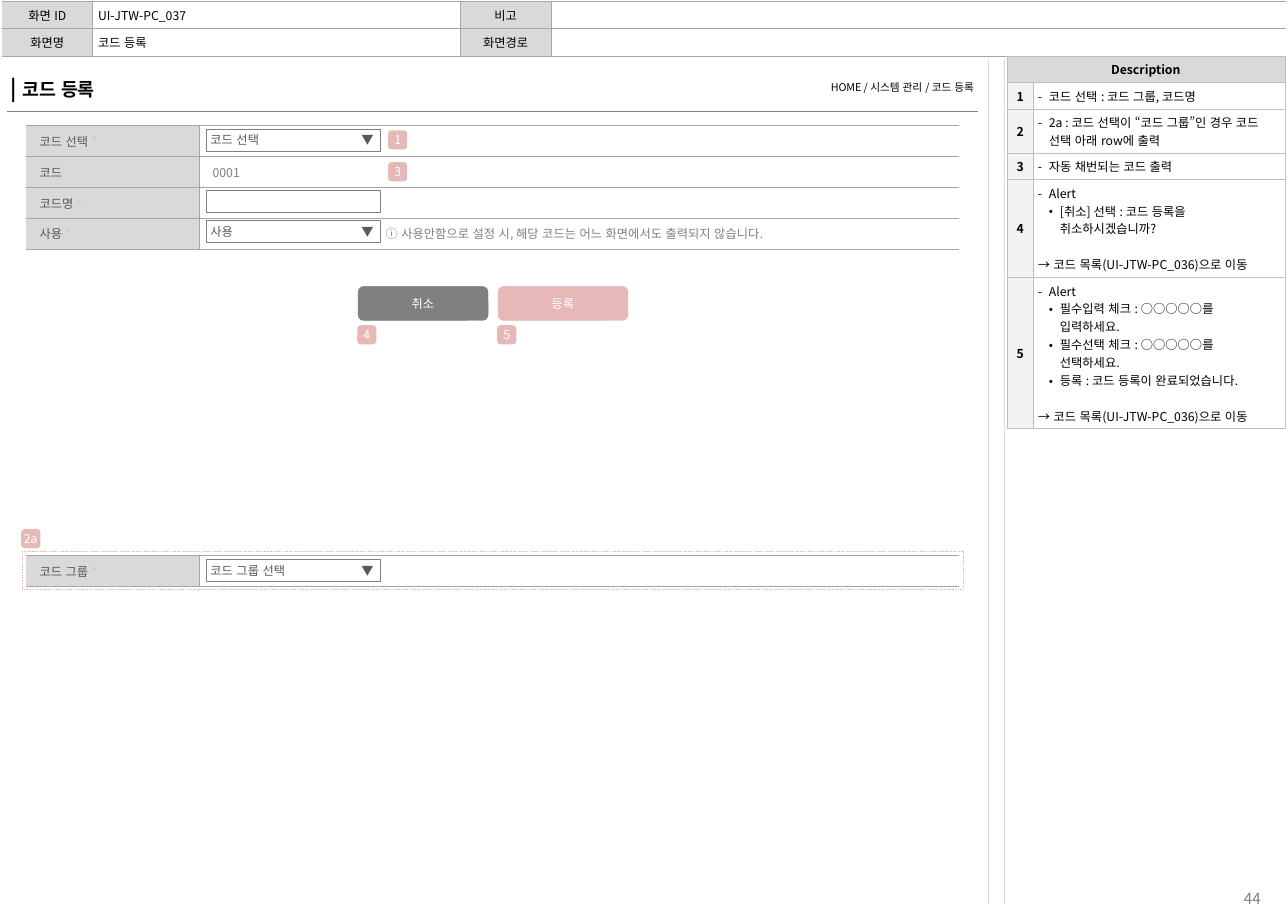
from lxml.etree import SubElement
from pptx import Presentation
from pptx.dml.color import RGBColor
from pptx.enum.dml import MSO_LINE
from pptx.enum.lang import MSO_LANGUAGE_ID
from pptx.enum.shapes import MSO_CONNECTOR, MSO_SHAPE
from pptx.enum.text import MSO_ANCHOR, PP_ALIGN
from pptx.oxml.ns import qn
from pptx.util import Inches, Pt

FONT = "Noto Sans CJK KR"
BLACK = RGBColor(0, 0, 0)
WHITE = RGBColor(0xFF, 0xFF, 0xFF)
TEXT = RGBColor(0x59, 0x59, 0x59)
DARK = RGBColor(0x80, 0x80, 0x80)
RULE = RGBColor(0xA6, 0xA6, 0xA6)
BOX = RGBColor(0xBF, 0xBF, 0xBF)
LABEL = RGBColor(0xD9, 0xD9, 0xD9)
PALE = RGBColor(0xF2, 0xF2, 0xF2)
PINK = RGBColor(0xE6, 0xB9, 0xB8)
LEFT, CENTER, RIGHT = PP_ALIGN.LEFT, PP_ALIGN.CENTER, PP_ALIGN.RIGHT

prs = Presentation()
prs.slide_width, prs.slide_height = Inches(11.69), Inches(8.27)
s = prs.slides.add_slide(prs.slide_layouts[6])


def write(tf, paragraphs, align=LEFT, color=BLACK, size=8, bold=False):
    """Each paragraph is a string or (marker, runs); a run is text or (text, format)."""
    for i, item in enumerate(paragraphs):
        marker, runs = ("", [item]) if isinstance(item, str) else item
        p = tf.paragraphs[0] if i == 0 else tf.add_paragraph()
        p.alignment = align
        pPr = p._p.get_or_add_pPr()
        if marker == "gap":
            p.space_before = Pt(11.7)
        elif marker:
            level = {"-": 1, "•": 2}[marker]
            pPr.set("marL", str(Inches(0.1 * level)))
            pPr.set("indent", str(Inches(-0.1)))
            SubElement(pPr, qn("a:buFont"), typeface=FONT)
            SubElement(pPr, qn("a:buChar"), char=marker)
        for run in runs:
            text, own = (run, {}) if isinstance(run, str) else run
            fmt = {"color": color, "size": size, "bold": bold, **own}
            r = p.add_run()
            r.text = text
            r.font.color.rgb = fmt.pop("color")
            fmt["size"] = Pt(fmt["size"])
            fmt.update(name=FONT, language_id=MSO_LANGUAGE_ID.KOREAN)
            for name, value in fmt.items():
                setattr(r.font, name, value)
            SubElement(r._r.get_or_add_rPr(), qn("a:ea"), typeface=FONT)


def table(left, top, widths, heights, rows, lines):
    """Each cell is (paragraphs, fill, insets, text format); lines maps T, B, V, edge to colours."""
    tbl = s.shapes.add_table(len(heights), len(widths), Inches(left), Inches(top),
                             Inches(sum(widths)), Inches(sum(heights))).table
    for col, width in zip(tbl.columns, widths):
        col.width = Inches(width)
    for y, (row, height) in enumerate(zip(rows, heights)):
        tbl.rows[y].height = Inches(height)
        for x, (paragraphs, fill, insets, fmt) in enumerate(row):
            cell = tbl.cell(y, x)
            cell.fill.solid()
            cell.fill.fore_color.rgb = fill
            cell.vertical_anchor = MSO_ANCHOR.MIDDLE
            for side, inset in zip(("left", "top", "right", "bottom"), insets):
                setattr(cell, "margin_" + side, Inches(inset))
            if paragraphs:
                write(cell.text_frame, paragraphs, **fmt)
            else:
                SubElement(cell.text_frame.paragraphs[0]._p, qn("a:endParaRPr"), sz="800")
            # Borders stand before the fill in the cell properties
            tcPr = cell._tc.get_or_add_tcPr()
            sides = {"L": "V" if x else "edge", "R": "V" if x < len(widths) - 1 else "edge",
                     "T": "T", "B": "B"}
            for n, (side, key) in enumerate(sides.items()):
                ln = SubElement(tcPr, qn("a:ln" + side), w=str(Pt(0.25)))
                if key in lines:
                    paint = SubElement(ln, qn("a:solidFill"))
                    SubElement(paint, qn("a:srgbClr"), val=str(lines[key]))
                else:
                    SubElement(ln, qn("a:noFill"))
                tcPr.insert(n, ln)
    return tbl


# Page number and divider lines
sp = s.shapes.add_textbox(Inches(11.18), Inches(8.01), Inches(0.5), Inches(0.25))
sp.text_frame.word_wrap = True
sp.text_frame.margin_left, sp.text_frame.margin_top = Inches(0.11), Inches(0.06)
write(sp.text_frame, ["44"], color=DARK, size=10)
for x in (8.97, 9.12):
    sp = s.shapes.add_connector(MSO_CONNECTOR.STRAIGHT, Inches(x), Inches(0.54),
                                Inches(x), Inches(8.21))
    sp.line.color.rgb, sp.line.width = LABEL, Pt(0.75)
    SubElement(sp._element.spPr, qn("a:effectLst"))

# Screen header
HEAD_INS = (0.05, 0.04, 0.05, 0.04)
head = [("화면 ID", "UI-JTW-PC_037", "비고", ""), ("화면명", "코드 등록", "화면경로", "")]
ruled = {"T": RULE, "B": RULE, "V": RULE}
table(0.02, 0.01, [0.82, 3.34, 0.82, 6.67], [0.25] * 2,
      [[([text] if text else [], WHITE if x % 2 else LABEL, HEAD_INS,
         {"align": LEFT if x % 2 else CENTER}) for x, text in enumerate(row)] for row in head],
      ruled)

# Page title and breadcrumb
table(0.06, 0.57, [4.41, 4.41], [0.44],
      [[([("", [("| ", {"size": 14}), "코드 등록"])], WHITE, (0.04, 0.08, 0, 0.08),
         {"size": 12, "bold": True}),
        (["HOME / 시스템 관리 / 코드 등록"], WHITE, (0, 0.08, 0.04, 0.08),
         {"size": 7, "align": RIGHT})]],
      {"B": DARK, "V": WHITE})

# Forms: label, required mark, value, value inset
STAR = ("*", {"color": PINK})
NOTE = "ⓘ 사용안함으로 설정 시, 해당 코드는 어느 화면에서도 출력되지 않습니다."
main_form = [("코드 선택 ", [STAR], "", 0), ("코드", [], "0001", 0.12),
             ("코드명 ", [STAR], "", 0), ("사용 ", [STAR], NOTE, 1.69)]
group_form = [("코드 그룹 ", [STAR], "", 0)]
for top, form in ((1.14, main_form), (5.04, group_form)):
    table(0.24, top, [1.57, 6.89], [0.28] * len(form),
          [[([("", [label] + star)], LABEL, (0.12, 0, 0, 0), {"color": TEXT}),
            ([value] if value else [], WHITE, (inset, 0, 0, 0), {"color": DARK})]
           for label, star, value, inset in form], ruled)

# Description: the alert rows keep a wider right inset so that long bullets wrap
DESC_INS, ALERT_INS = (0.04,) * 4, (0.04, 0.04, 0.2, 0.04)
MOVE = ("gap", ["→ 코드 목록(UI-JTW-PC_036)으로 이동"])
notes = [
    (0.24, DESC_INS, [("-", ["코드 선택 : 코드 그룹, 코드명"])]),
    (0.4, DESC_INS, [("-", ["2a : 코드 선택이 “코드 그룹”인 경우 코드 선택 아래 row에 출력"])]),
    (0.24, DESC_INS, [("-", ["자동 채번되는 코드 출력"])]),
    (0.89, ALERT_INS, [("-", ["Alert"]),
                       ("•", ["[취소] 선택 : 코드 등록을 취소하시겠습니까?"]), MOVE]),
    (1.37, ALERT_INS, [("-", ["Alert"]), ("•", ["필수입력 체크 : ○○○○○를 입력하세요."]),
                       ("•", ["필수선택 체크 : ○○○○○를 선택하세요."]),
                       ("•", ["등록 : 코드 등록이 완료되었습니다."]), MOVE]),
]
strong = {"align": CENTER, "bold": True}
rows = [[(["Description"], LABEL, DESC_INS, strong), ([], LABEL, DESC_INS, {})]]
rows += [[([str(n)], PALE, DESC_INS, strong), (paragraphs, WHITE, insets, {})]
         for n, (height, insets, paragraphs) in enumerate(notes, 1)]
tbl = table(9.14, 0.51, [0.24, 2.28], [0.24] + [note[0] for note in notes], rows,
            {"T": BOX, "B": BOX, "V": BOX, "edge": BOX})
tbl.cell(0, 0).merge(tbl.cell(0, 1))

# Fields, buttons, markers and the dashed frame:
# left, top, width, height, preset, fill, line, line width, text
ROUND, RECT = MSO_SHAPE.ROUNDED_RECTANGLE, MSO_SHAPE.RECTANGLE
boxes = [(0.2, 5, 8.54, 0.35, RECT, None, PINK, 0.25, "")]
boxes += [(1.87, top, 1.58, 0.2, RECT, None, DARK, 0.25, text) for top, text in
          ((1.17, "코드 선택\t▼"), (1.73, ""), (2, "사용\t▼"), (5.08, "코드 그룹 선택\t▼"))]
boxes += [(left, 2.6, 1.18, 0.31, ROUND, color, color, 0.25, text) for left, color, text in
          ((3.25, DARK, "취소"), (4.52, PINK, "등록"))]
boxes += [(left, top, 0.16, 0.16, ROUND, PINK, PINK, 1, text) for left, top, text in
          ((3.53, 1.19, "1"), (0.2, 4.81, "2a"), (3.53, 1.48, "3"),
           (3.25, 2.96, "4"), (4.52, 2.96, "5"))]
for left, top, width, height, preset, fill, line, weight, text in boxes:
    sp = s.shapes.add_shape(preset, Inches(left), Inches(top), Inches(width), Inches(height))
    sp.shadow.inherit = False
    sp.line.color.rgb, sp.line.width = line, Pt(weight)
    if fill:
        sp.fill.solid()
        sp.fill.fore_color.rgb = fill
    else:
        sp.fill.background()
    if line == PINK and not fill:
        sp.line.dash_style = MSO_LINE.DASH
    if text:
        tf = sp.text_frame
        tf.word_wrap = preset == RECT
        side = 0 if fill else Inches(0.04)
        for name, value in {"margin_left": side, "margin_right": side, "margin_top": 0,
                            "margin_bottom": 0, "vertical_anchor": MSO_ANCHOR.MIDDLE}.items():
            setattr(tf, name, value)
        write(tf, [text], CENTER if fill else LEFT, WHITE if fill else TEXT)
        if not fill:
            tabs = SubElement(tf.paragraphs[0]._p.get_or_add_pPr(), qn("a:tabLst"))
            SubElement(tabs, qn("a:tab"), pos=str(Inches(1.37)), algn="l")

prs.save("out.pptx")
